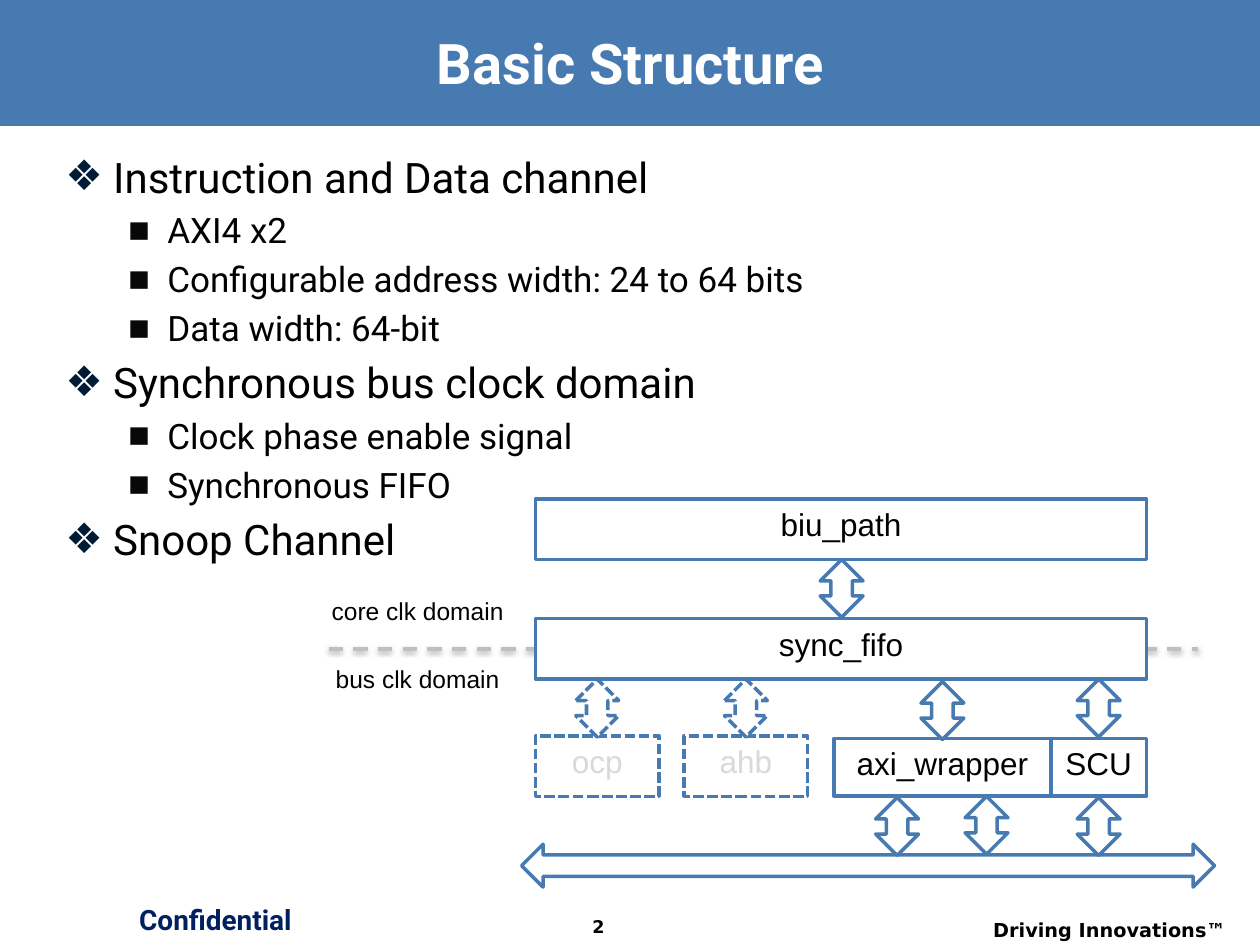
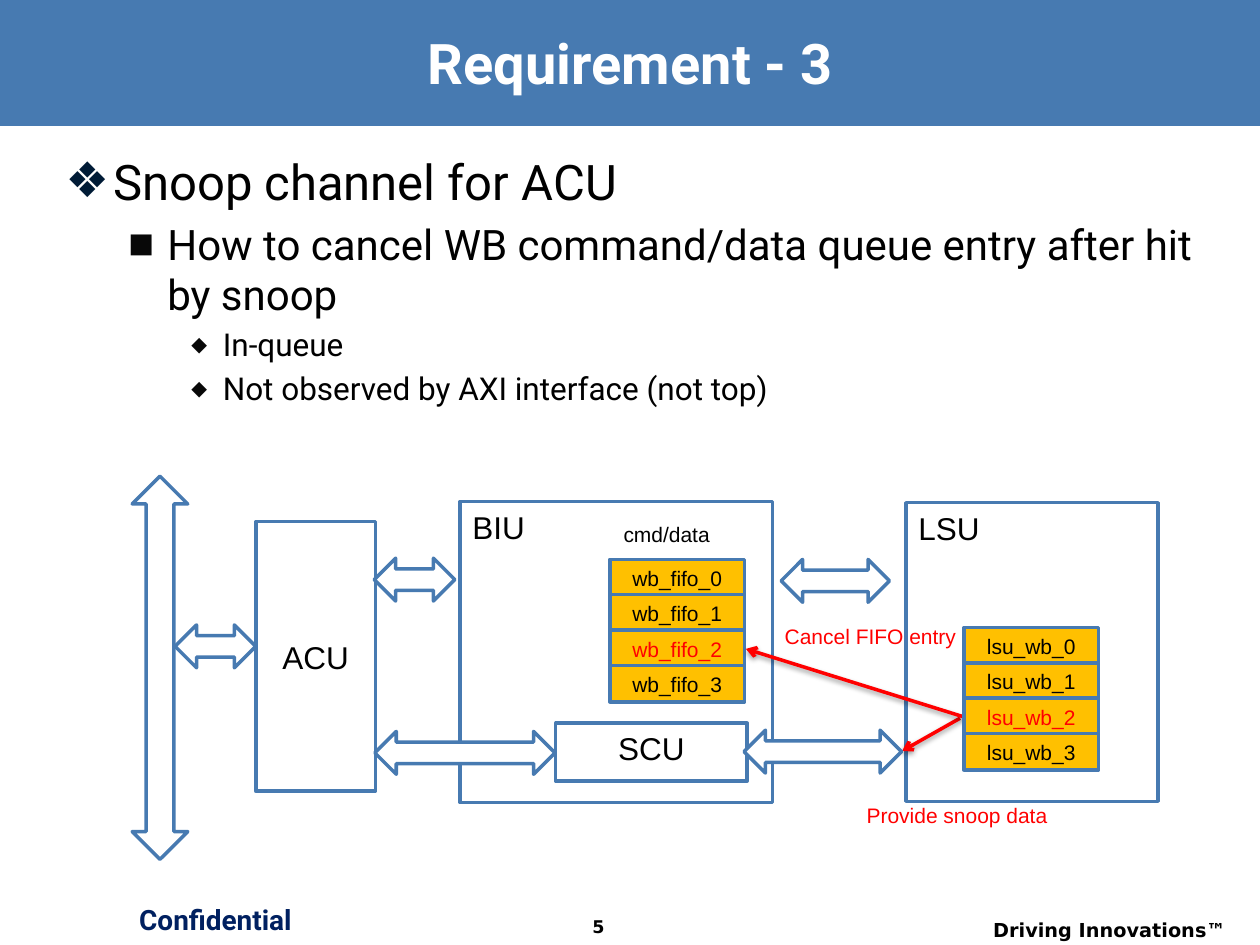
import lxml.etree
import pptx
import pptx.dml.color
import pptx.enum.dml
import pptx.enum.shapes
import pptx.enum.text
import pptx.oxml.ns
import pptx.util

Inches = pptx.util.Inches
Pt = pptx.util.Pt
SHAPE = pptx.enum.shapes.MSO_SHAPE
ALIGN = pptx.enum.text.PP_ALIGN
ANCHOR = pptx.enum.text.MSO_ANCHOR
DASH = pptx.enum.dml.MSO_LINE

BLUE = "477AB1"
NAVY = "002060"
WHITE = "FFFFFF"
BLACK = "000000"
GREY = "BFBFBF"
PALE = "D9D9D9"
RED = "FF0000"
GOLD = "FFC000"
HEAD = "Roboto"
LABEL = "Arial"
FOOT = "DejaVu Sans"

LEVELS = [
    ("❖", "001B36", 100, 0.38, 0.38),
    ("■", "080808", 65, 0.81, 0.31),
    ("◆", "080808", 65, 1.25, 0.25),
]
ARROW = 0.34
ROW = 0.29
STEP = 0.28


def color(code):
    return pptx.dml.color.RGBColor.from_string(code)


def child(parent, tag, **attrs):
    node = lxml.etree.SubElement(parent, pptx.oxml.ns.qn(tag))
    for key, value in attrs.items():
        node.set(key, str(value))
    return node


def shadow(parent, blur, dist, angle, alpha):
    effects = child(parent, "a:effectLst")
    cast = child(effects, "a:outerShdw", blurRad=Pt(blur), dist=Pt(dist),
                 dir=angle * 60000, algn="ctr", rotWithShape=0)
    tint = child(cast, "a:srgbClr", val=BLACK)
    child(tint, "a:alpha", val=alpha * 1000)
    return effects


def write(para, words, size, font, ink, bold=False):
    run = para.add_run()
    run.text = words
    run.font.size = Pt(size)
    run.font.name = font
    run.font.bold = bold
    run.font.color.rgb = color(ink)
    return run


def text(slide, box, words, size, font=LABEL, ink=BLACK, bold=False,
         align=ALIGN.LEFT, anchor=ANCHOR.TOP):
    frame = slide.shapes.add_textbox(*map(Inches, box)).text_frame
    frame.word_wrap = True
    frame.vertical_anchor = anchor
    para = frame.paragraphs[0]
    para.alignment = align
    return write(para, words, size, font, ink, bold)


def shape(slide, kind, box, fill=WHITE, edge=BLUE, dash=None):
    item = slide.shapes.add_shape(kind, *map(Inches, box))
    item.shadow.inherit = False
    item.fill.solid()
    item.fill.fore_color.rgb = color(fill)
    if edge:
        item.line.color.rgb = color(edge)
        item.line.width = Pt(2)
        if dash:
            item.line.dash_style = dash
    else:
        item.line.fill.background()
    return item


def block(slide, box, words, size=18, ink=BLACK, align=ALIGN.CENTER,
          anchor=ANCHOR.TOP, **style):
    frame = shape(slide, SHAPE.RECTANGLE, box, **style).text_frame
    frame.word_wrap = True
    frame.vertical_anchor = anchor
    para = frame.paragraphs[0]
    para.alignment = align
    write(para, words, size, LABEL, ink)


def arrow(slide, x, y, tall=0.46, wide=ARROW, turn=0, dash=None):
    item = shape(slide, SHAPE.UP_DOWN_ARROW, (x, y, wide, tall), dash=dash)
    item.rotation = turn


def line(slide, start, end, ink, dash=None, tip=False):
    item = slide.shapes.add_connector(
        pptx.enum.shapes.MSO_CONNECTOR.STRAIGHT, *map(Inches, start + end))
    item.line.color.rgb = color(ink)
    item.line.width = Pt(2)
    if dash:
        item.line.dash_style = dash
    if tip:
        child(item.line._get_or_add_ln(), "a:tailEnd", type="arrow")
    shadow(item._element.spPr, 3.1, 1.6, 90, 38)


def bullets(slide, tall, sizes, items):
    frame = slide.shapes.add_textbox(
        *map(Inches, (0.42, 1.15, 9.21, tall))).text_frame
    frame.word_wrap = True
    for index, (level, words) in enumerate(items):
        para = frame.add_paragraph() if index else frame.paragraphs[0]
        mark, ink, scale, left, hang = LEVELS[level]
        props = para._p.get_or_add_pPr()
        props.set("marL", str(Inches(left)))
        props.set("indent", str(-Inches(hang)))
        child(child(props, "a:buClr"), "a:srgbClr", val=ink)
        child(props, "a:buSzPct", val=scale * 1000)
        child(props, "a:buFont", typeface=FOOT)
        child(props, "a:buChar", char=mark)
        para.level = level
        if index:
            para.space_before = Pt(sizes[level] * 0.2)
        write(para, words, sizes[level], HEAD, BLACK)


def queue(slide, x, y, stem):
    for index in range(4):
        block(slide, (x, y + index * STEP, 1.07, ROW), f"{stem}_{index}", 12,
              RED if index == 2 else BLACK, fill=GOLD)


def start(deck, title, number):
    slide = deck.slides.add_slide(deck.slide_layouts[6])
    shape(slide, SHAPE.RECTANGLE, (0, 0, 10, 1), BLUE, None)
    run = text(slide, (0.35, 0.16, 9.31, 0.66), title, 32, HEAD, WHITE, True,
               ALIGN.CENTER, ANCHOR.MIDDLE)
    props = run.font._element
    props.find(pptx.oxml.ns.qn("a:solidFill")).addnext(
        shadow(props, 0, 3, 45, 100))
    text(slide, (0.89, 7.11, 1.64, 0.42), "Confidential", 16, HEAD, NAVY, True,
         ALIGN.CENTER)
    text(slide, (7.46, 7.24, 2.37, 0.26), "Driving Innovations™", 11, FOOT,
         BLACK, True, ALIGN.RIGHT)
    text(slide, (4.29, 7.22, 0.92, 0.28), number, 10, FOOT, BLACK, True,
         ALIGN.CENTER)
    return slide


def basic(deck):
    slide = start(deck, "Basic Structure", "2")
    line(slide, (2.61, 5.15), (9.51, 5.15), GREY, DASH.DASH)
    bullets(slide, 5.83, (24, 20), [
        (0, "Instruction and Data channel"),
        (1, "AXI4 x2"),
        (1, "Configurable address width: 24 to 64 bits"),
        (1, "Data width: 64-bit"),
        (0, "Synchronous bus clock domain"),
        (1, "Clock phase enable signal"),
        (1, "Synchronous FIFO"),
        (0, "Snoop Channel"),
    ])
    for x, name in ((5.43, "ahb"), (4.25, "ocp")):
        block(slide, (x, 5.84, 0.98, 0.48), name, ink=PALE,
              dash=DASH.SQUARE_DOT)
        arrow(slide, x + 0.32, 5.39, dash=DASH.SQUARE_DOT)
    for y, name in ((3.96, "biu_path"), (4.91, "sync_fifo")):
        block(slide, (4.25, y, 4.85, 0.48), name)
    for y, name in ((5.22, "bus clk domain"), (4.68, "core clk domain")):
        block(slide, (2.48, y, 1.67, 0.38), name, 14, edge=None)
    block(slide, (6.62, 5.86, 1.72, 0.46), "axi_wrapper")
    block(slide, (8.34, 5.86, 0.76, 0.46), "SCU")
    arrow(slide, 6.72, 4.12, 5.5, turn=270)
    for x, y in ((6.51, 4.44), (7.31, 5.41), (8.55, 5.39),
                 (6.95, 6.33), (7.66, 6.32), (8.55, 6.33)):
        arrow(slide, x, y)


def snoop(deck):
    slide = start(deck, "Requirement - 3", "5")
    bullets(slide, 2.26, (28, 24, 18), [
        (0, "Snoop channel for ACU"),
        (1, "How to cancel WB command/data queue entry after hit by snoop"),
        (2, "In-queue"),
        (2, "Not observed by AXI interface (not top)"),
    ])
    block(slide, (3.65, 3.98, 2.48, 2.39), "BIU", align=ALIGN.LEFT)
    block(slide, (7.19, 3.99, 2, 2.37), "LSU", align=ALIGN.LEFT)
    block(slide, (4.41, 5.74, 1.52, 0.46), "SCU")
    block(slide, (2.03, 4.14, 0.95, 2.14), "ACU", anchor=ANCHOR.MIDDLE)
    queue(slide, 4.84, 4.44, "wb_fifo")
    line(slide, (7.62, 5.7), (7.16, 5.96), RED, tip=True)
    line(slide, (7.65, 5.69), (5.92, 5.15), RED, tip=True)
    queue(slide, 7.65, 4.98, "lsu_wb")
    for box, words, ink in (
            ((6.78, 6.27, 2.13, 0.4), "Provide snoop data", RED),
            ((4.85, 4.04, 1.05, 0.4), "cmd/data", BLACK),
            ((6.13, 4.85, 1.63, 0.4), "Cancel FIFO entry", RED)):
        text(slide, box, words, 12, ink=ink, anchor=ANCHOR.MIDDLE)
    arrow(slide, 1.05, 3.78, 3.04, 0.44)
    for x, y, tall in ((6.36, 5.34, 1.25), (3.52, 5.26, 1.43),
                       (6.46, 4.18, 0.86), (3.12, 4.28, 0.64),
                       (1.54, 4.81, 0.64)):
        arrow(slide, x, y, tall, turn=270)


def main():
    deck = pptx.Presentation()
    deck.slide_width = Inches(10)
    deck.slide_height = Inches(7.5)
    basic(deck)
    snoop(deck)
    deck.save("out.pptx")


if __name__ == "__main__":
    main()
